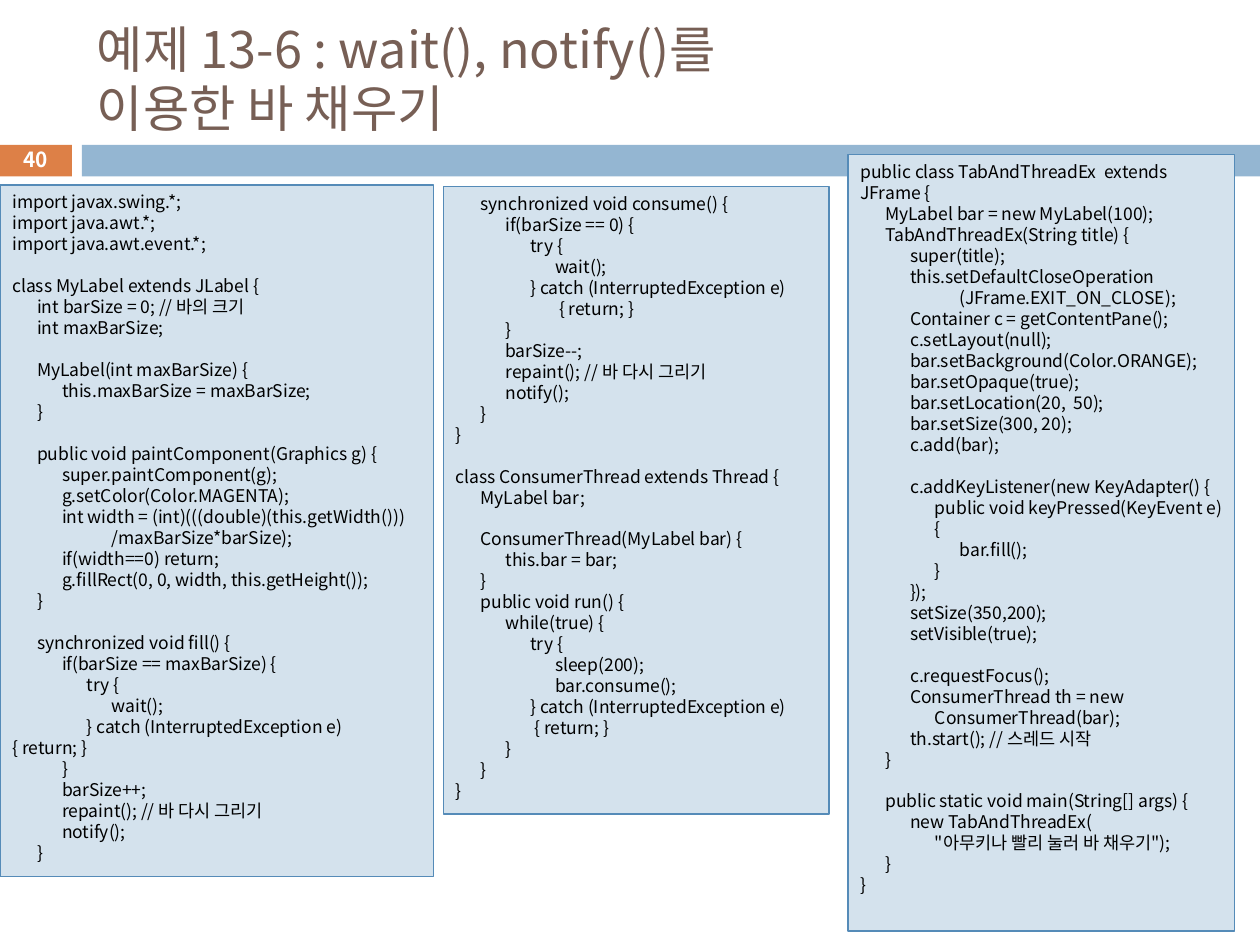
import pptx
import pptx.dml.color
import pptx.enum.shapes
import pptx.enum.text
import pptx.oxml.ns
import pptx.util
from lxml import etree

Pt = pptx.util.Pt
RGBColor = pptx.dml.color.RGBColor
ALIGN = pptx.enum.text.PP_ALIGN
ANCHOR = pptx.enum.text.MSO_ANCHOR

ORANGE = RGBColor(0xDD, 0x80, 0x47)
BLUE = RGBColor(0x94, 0xB6, 0xD2)
PALE_BLUE = RGBColor(0xD4, 0xE2, 0xED)
BORDER_BLUE = RGBColor(0x55, 0x8B, 0xB8)
BROWN = RGBColor(0x77, 0x5F, 0x55)
WHITE = RGBColor(0xFF, 0xFF, 0xFF)
BLACK = RGBColor(0, 0, 0)

FONT = "Noto Sans CJK KR"
INDENT = "    "
TAB_WIDTH = 14.2
TAB_COUNT = 4

TITLE = "예제 13-6 : wait(), notify()를 \v이용한 바 채우기"

# Each panel's code is a list of sections with an empty line between them.
LABEL_CODE = ["""\
import javax.swing.*;
import java.awt.*;
import java.awt.event.*;""", """\
class MyLabel extends JLabel {
    int barSize = 0; // 바의 크기
    int maxBarSize;""", """\
    MyLabel(int maxBarSize) {
        this.maxBarSize = maxBarSize;
    }""", """\
    public void paintComponent(Graphics g) {
        super.paintComponent(g);
        g.setColor(Color.MAGENTA);
        int width = (int)(((double)(this.getWidth()))
                /maxBarSize*barSize);
        if(width==0) return;
        g.fillRect(0, 0, width, this.getHeight());
    }""", """\
    synchronized void fill() {
        if(barSize == maxBarSize) {
            try {
                wait();
            } catch (InterruptedException e) { return; }
        }
        barSize++;
        repaint(); // 바 다시 그리기
        notify();
    }"""]

CONSUMER_CODE = ["""\
    synchronized void consume() {
        if(barSize == 0) {
            try {
                wait();
            } catch (InterruptedException e)
                 { return; }
        }
        barSize--;
        repaint(); // 바 다시 그리기
        notify();
    }
}""", """\
class ConsumerThread extends Thread {
    MyLabel bar;""", """\
    ConsumerThread(MyLabel bar) {
        this.bar = bar;
    }
    public void run() {
        while(true) {
            try {
                sleep(200);
                bar.consume();
            } catch (InterruptedException e)
             { return; }
        }
    }
}"""]

FRAME_CODE = ["""\
public class TabAndThreadEx  extends JFrame {
    MyLabel bar = new MyLabel(100);
    TabAndThreadEx(String title) {
        super(title);
        this.setDefaultCloseOperation
                (JFrame.EXIT_ON_CLOSE);
        Container c = getContentPane();
        c.setLayout(null);
        bar.setBackground(Color.ORANGE);
        bar.setOpaque(true);
        bar.setLocation(20,  50);
        bar.setSize(300, 20);
        c.add(bar);""", """\
        c.addKeyListener(new KeyAdapter() {
            public void keyPressed(KeyEvent e)
            {
                bar.fill();
            }
        });
        setSize(350,200);
        setVisible(true);""", """\
        c.requestFocus();
        ConsumerThread th = new
            ConsumerThread(bar);
        th.start(); // 스레드 시작
    }""", """\
    public static void main(String[] args) {
        new TabAndThreadEx(
            "아무키나 빨리 눌러 바 채우기");
    }
}"""]

# Code, left, top, width, height
PANELS = [
    (FRAME_CODE, 484.6, 88.5, 221, 443.5),
    (LABEL_CODE, 0, 105.8, 247.7, 395.3),
    (CONSUMER_CODE, 253.4, 106.6, 220.3, 358.6),
]


def set_attributes(target, values):
    for name, value in values.items():
        setattr(target, name, value)


def format_font(font, size, color, bold=False):
    """Set the font for both Latin and Korean characters."""
    set_attributes(font, {"size": Pt(size), "bold": bold, "name": FONT})
    font.color.rgb = color
    etree.SubElement(font._element, pptx.oxml.ns.qn("a:ea"), typeface=FONT)


def add_tab_stops(paragraph):
    properties = paragraph._p.get_or_add_pPr()
    tab_list = etree.SubElement(properties, pptx.oxml.ns.qn("a:tabLst"))
    for number in range(1, TAB_COUNT + 1):
        etree.SubElement(tab_list, pptx.oxml.ns.qn("a:tab"),
                         pos=str(Pt(TAB_WIDTH * number)), algn="l")


def add_rectangle(slide, box, fill, border=None):
    shape = slide.shapes.add_shape(
        pptx.enum.shapes.MSO_SHAPE.RECTANGLE, *map(Pt, box))
    shape.shadow.inherit = False
    shape.fill.solid()
    shape.fill.fore_color.rgb = fill
    if border is None:
        shape.line.fill.background()
    else:
        shape.line.color.rgb = border
        shape.line.width = Pt(0.75)
    return shape


def add_code_panel(slide, sections, *box):
    shape = add_rectangle(slide, box, PALE_BLUE, BORDER_BLUE)
    frame = shape.text_frame
    set_attributes(frame, {"word_wrap": True, "vertical_anchor": ANCHOR.TOP})
    for index, line in enumerate("\n\n".join(sections).split("\n")):
        paragraph = frame.add_paragraph() if index else frame.paragraphs[0]
        set_attributes(paragraph, {"alignment": ALIGN.LEFT, "line_spacing": Pt(12)})
        add_tab_stops(paragraph)
        if line:
            run = paragraph.add_run()
            run.text = line.replace(INDENT, "\t")
            format_font(run.font, 10, BLACK)


def add_title(slide):
    title = slide.shapes.title
    set_attributes(title, {"left": Pt(48.2), "top": Pt(18),
                           "width": Pt(642.2), "height": Pt(53.3)})
    frame = title.text_frame
    set_attributes(frame, {"word_wrap": True, "vertical_anchor": ANCHOR.MIDDLE,
                           "auto_size": pptx.enum.text.MSO_AUTO_SIZE.NONE})
    paragraph = frame.paragraphs[0]
    paragraph.text = TITLE
    set_attributes(paragraph, {"alignment": ALIGN.LEFT, "line_spacing": Pt(34)})
    for run in paragraph.runs:
        format_font(run.font, 28.8, BROWN)


def add_page_number(slide, number):
    box = slide.shapes.add_textbox(Pt(-0.7), Pt(81.4), Pt(41.8), Pt(19.4))
    frame = box.text_frame
    set_attributes(frame, {"word_wrap": True, "vertical_anchor": ANCHOR.MIDDLE,
                           "margin_top": 0, "margin_bottom": 0})
    paragraph = frame.paragraphs[0]
    paragraph.alignment = ALIGN.CENTER
    run = paragraph.add_run()
    run.text = number
    format_font(run.font, 11.9, WHITE, bold=True)


def main():
    presentation = pptx.Presentation()
    set_attributes(presentation, {"slide_width": Pt(720), "slide_height": Pt(540)})
    slide = presentation.slides.add_slide(presentation.slide_layouts[5])
    add_title(slide)
    add_rectangle(slide, (-0.7, 82.8, 41.8, 18), ORANGE)
    add_rectangle(slide, (46.8, 82.8, 673.2, 18), BLUE)
    for panel in PANELS:
        add_code_panel(slide, *panel)
    add_page_number(slide, "40")
    presentation.save("out.pptx")


if __name__ == "__main__":
    main()
